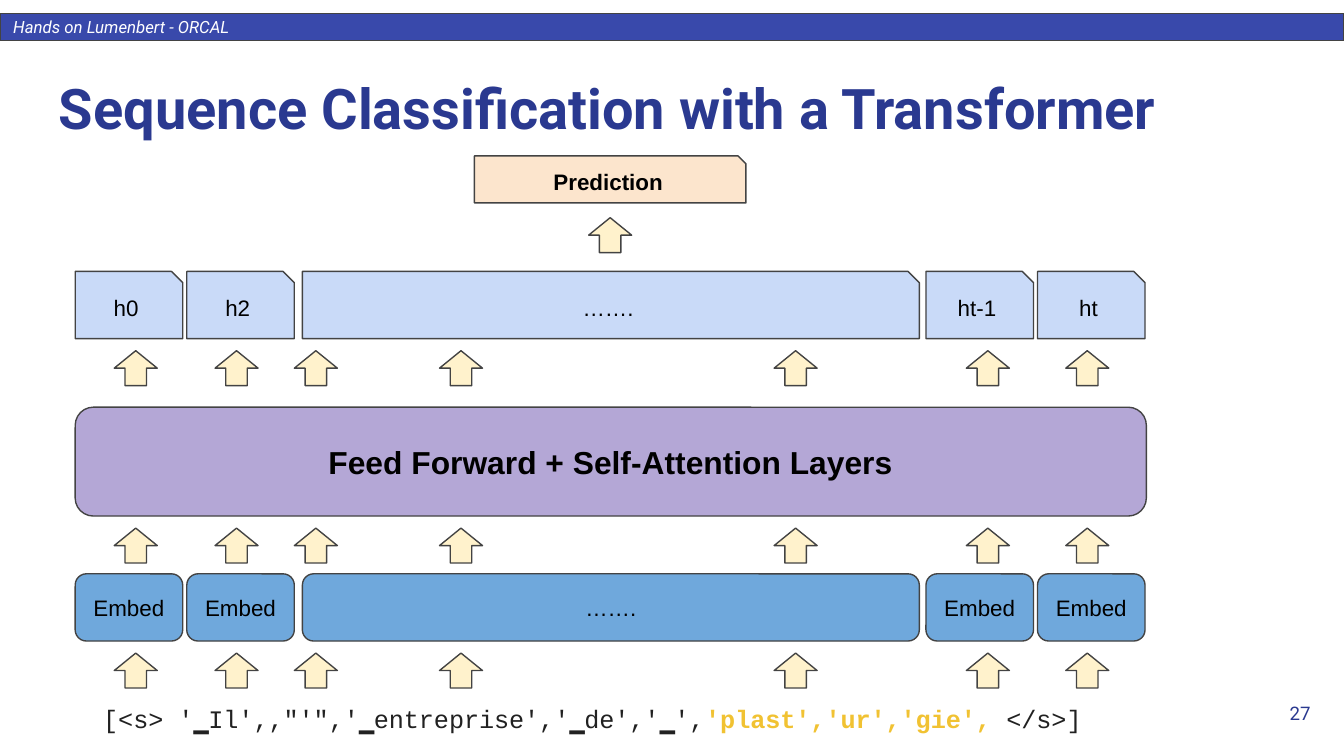
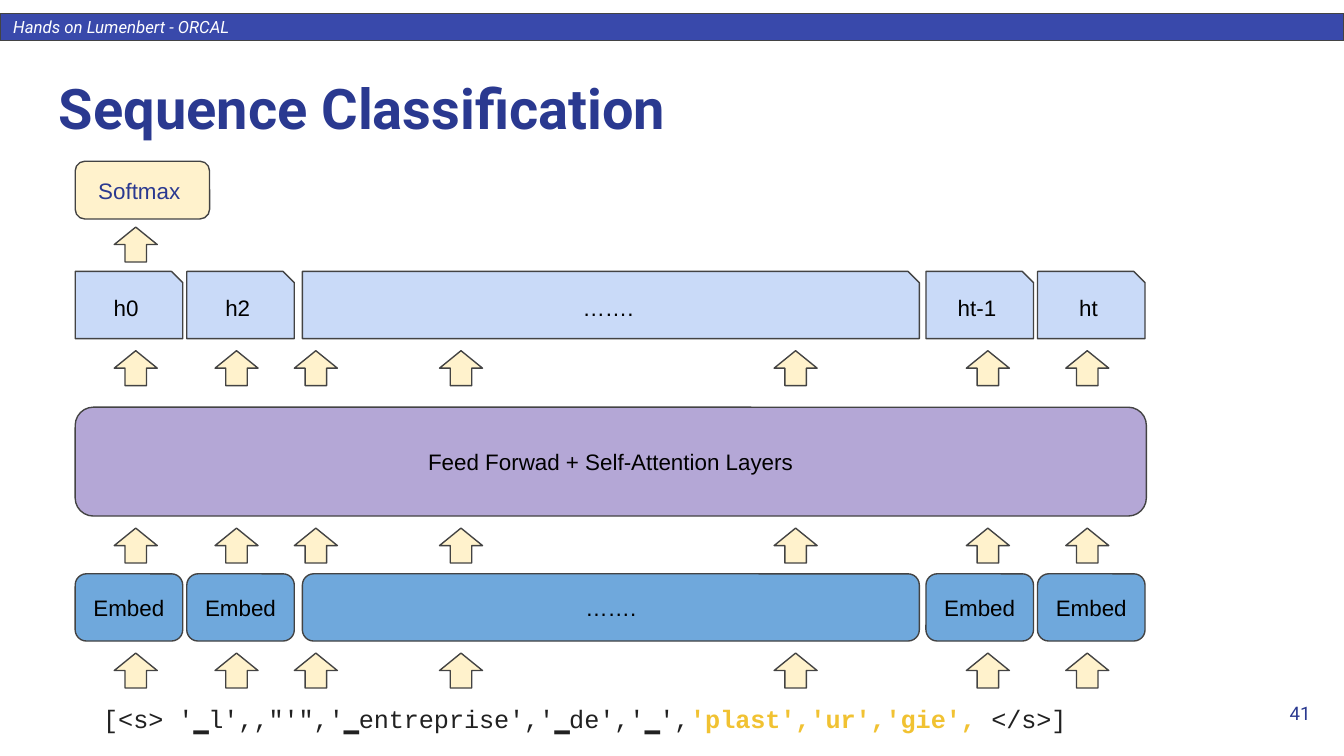
from pptx import Presentation, util as u
from pptx.dml.color import RGBColor
from pptx.enum import shapes, text

# Colours
BAND = RGBColor(0x39, 0x49, 0xAB)
NAVY = RGBColor(0x2A, 0x39, 0x90)
WHITE = RGBColor(0xFF, 0xFF, 0xFF)
BLACK = RGBColor(0x00, 0x00, 0x00)
INK = RGBColor(0x21, 0x21, 0x21)
GOLD = RGBColor(0xF1, 0xC2, 0x32)
OUTLINE = RGBColor(0x43, 0x43, 0x43)
CREAM = RGBColor(0xFF, 0xF2, 0xCC)
PEACH = RGBColor(0xFC, 0xE5, 0xCD)
PURPLE = RGBColor(0xB4, 0xA7, 0xD6)
BLUE = RGBColor(0x6F, 0xA8, 0xDC)
PALE_BLUE = RGBColor(0xC9, 0xDA, 0xF8)

KIND = shapes.MSO_SHAPE
ROUND, SNIP = KIND.ROUNDED_RECTANGLE, KIND.SNIP_1_RECTANGLE
LEFT, CENTER, RIGHT = text.PP_ALIGN.LEFT, text.PP_ALIGN.CENTER, text.PP_ALIGN.RIGHT
TOP, MIDDLE, BOTTOM = text.MSO_ANCHOR.TOP, text.MSO_ANCHOR.MIDDLE, text.MSO_ANCHOR.BOTTOM

# Content
HEADER = "Hands on Lumenbert - ORCAL"
HIDDEN_STATES = ["h0", "h2", "…….", "ht-1", "ht"]
EMBEDDINGS = ["Embed", "Embed", "…….", "Embed", "Embed"]
LABELLED_TOKENS = "'plast','ur','gie', "
SLIDES = [
    {
        "title": "Sequence Classification with a Transformer",
        "number": "27",
        "first_token": "'▁Il'",
        "layers": ("Feed Forward + Self-Attention Layers", {"size": 17, "bold": True}),
        "output": ("Prediction", SNIP, (3.53, 1.16, 2.02, 0.35), PEACH, {"bold": True}),
        "output_arrow": (4.54, 1.62),
    },
    {
        "title": "Sequence Classification",
        "number": "41",
        "first_token": "'▁l'",
        "layers": ("Feed Forwad + Self-Attention Layers", {}),
        "output": ("Softmax ", ROUND, (0.56, 1.2, 1, 0.43), CREAM, {"color": NAVY}),
        "output_arrow": (1.01, 1.69),
    },
]

# Grid, in inches, on a 16:9 slide
WIDTH = 10
HEIGHT = WIDTH * 9 / 16
LEFT_EDGE, DIAGRAM_WIDTH = 0.56, 7.97
CELL, PITCH = 0.8, 0.83
RIGHT_START = 6.89
COLUMNS = [(LEFT_EDGE, CELL), (LEFT_EDGE + PITCH, CELL), (2.25, 4.59),
           (RIGHT_START, CELL), (RIGHT_START + PITCH, CELL)]
ROW_HEIGHT = 0.5
HIDDEN_TOP, LAYERS_TOP, EMBED_TOP = 2.02, 3.03, 4.27
LAYERS_HEIGHT = 0.81
ARROW_WIDTH, ARROW_HEIGHT, ARROW_GAP = 0.32, 0.26, 0.09
ARROW_CENTERS = [1.01, 1.76, 2.35, 3.43, 5.92, 7.35, 8.09]


def inches(*lengths):
    return [u.Inches(length) for length in lengths]


def write(box, spans, align=CENTER, anchor=MIDDLE):
    """Fill a box with one paragraph of (words, format) spans."""
    frame = box.text_frame
    frame.word_wrap = True
    frame.vertical_anchor = anchor
    for side in ("left", "right", "top", "bottom"):
        setattr(frame, f"margin_{side}", u.Inches(0.1))
    para = frame.paragraphs[0]
    para.alignment = align
    for words, style in spans:
        style = {"name": "Arial", "size": 12, "color": BLACK, **style}
        span = para.add_run()
        span.text = words
        span.font.color.rgb = style.pop("color")
        style["size"] = u.Pt(style["size"])
        for key, value in style.items():
            setattr(span.font, key, value)


def add_text(page, at, spans, align=LEFT, anchor=TOP):
    write(page.shapes.add_textbox(*inches(*at)), spans, align, anchor)


def add_box(parent, kind, at, fill, words="", style=None, align=CENTER):
    box = parent.shapes.add_shape(kind, *inches(*at))
    box.shadow.inherit = False
    box.fill.solid()
    box.fill.fore_color.rgb = fill
    box.line.color.rgb = OUTLINE
    box.line.width = u.Pt(0.75)
    if words:
        write(box, [(words, style or {})], align)


def add_arrow(parent, center, top):
    at = (center - ARROW_WIDTH / 2, top, ARROW_WIDTH, ARROW_HEIGHT)
    add_box(parent, KIND.UP_ARROW, at, CREAM)


def add_arrow_row(page, bottom_of_box):
    group = page.shapes.add_group_shape()
    for center in ARROW_CENTERS:
        add_arrow(group, center, bottom_of_box + ARROW_GAP)


def add_cell_row(page, kind, top, fill, labels):
    group = page.shapes.add_group_shape()
    for (left, width), label in zip(COLUMNS, labels):
        add_box(group, kind, (left, top, width, ROW_HEIGHT), fill, label)


def add_frame(page, title, number):
    """Header band, slide number and title."""
    add_box(page, KIND.RECTANGLE, (0, 0.1, WIDTH, 0.2), BAND, HEADER,
            {"name": "Roboto", "size": 9, "italic": True, "color": WHITE}, LEFT)
    add_text(page, (9.25, 5.09, 0.6, 0.43),
             [(number, {"name": "Roboto", "size": 10, "color": NAVY})], RIGHT, MIDDLE)
    add_text(page, (0.34, 0.45, 9.32, 0.66),
             [(title, {"name": "Roboto", "size": 30, "bold": True, "color": NAVY})])


def add_tokens(page, first_token):
    """Input sequence along the bottom, labelled tokens in gold."""
    plain = {"name": "Courier New", "size": 13.5, "color": INK}
    spans = [(f"[<s> {first_token},,\"'\",'▁entreprise','▁de','▁',", plain),
             (LABELLED_TOKENS, {**plain, "bold": True, "color": GOLD}),
             ("</s>]", plain)]
    add_text(page, (0.67, 1.24, 8.67, 4.32), spans, anchor=BOTTOM)


def add_network(page, layers):
    """Embeddings, attention layers and hidden states, with arrows between."""
    words, style = layers
    add_cell_row(page, ROUND, EMBED_TOP, BLUE, EMBEDDINGS)
    add_arrow_row(page, EMBED_TOP + ROW_HEIGHT)
    add_box(page, ROUND, (LEFT_EDGE, LAYERS_TOP, DIAGRAM_WIDTH, LAYERS_HEIGHT),
            PURPLE, words, style)
    add_arrow_row(page, HIDDEN_TOP + ROW_HEIGHT)
    add_cell_row(page, SNIP, HIDDEN_TOP, PALE_BLUE, HIDDEN_STATES)
    add_arrow_row(page, LAYERS_TOP + LAYERS_HEIGHT)


def main():
    deck = Presentation()
    deck.slide_width, deck.slide_height = inches(WIDTH, HEIGHT)
    for content in SLIDES:
        page = deck.slides.add_slide(deck.slide_layouts[6])
        add_frame(page, content["title"], content["number"])
        add_tokens(page, content["first_token"])
        add_network(page, content["layers"])
        add_arrow(page, *content["output_arrow"])
        words, kind, at, fill, style = content["output"]
        add_box(page, kind, at, fill, words, style)
    deck.save("out.pptx")


if __name__ == "__main__":
    main()
